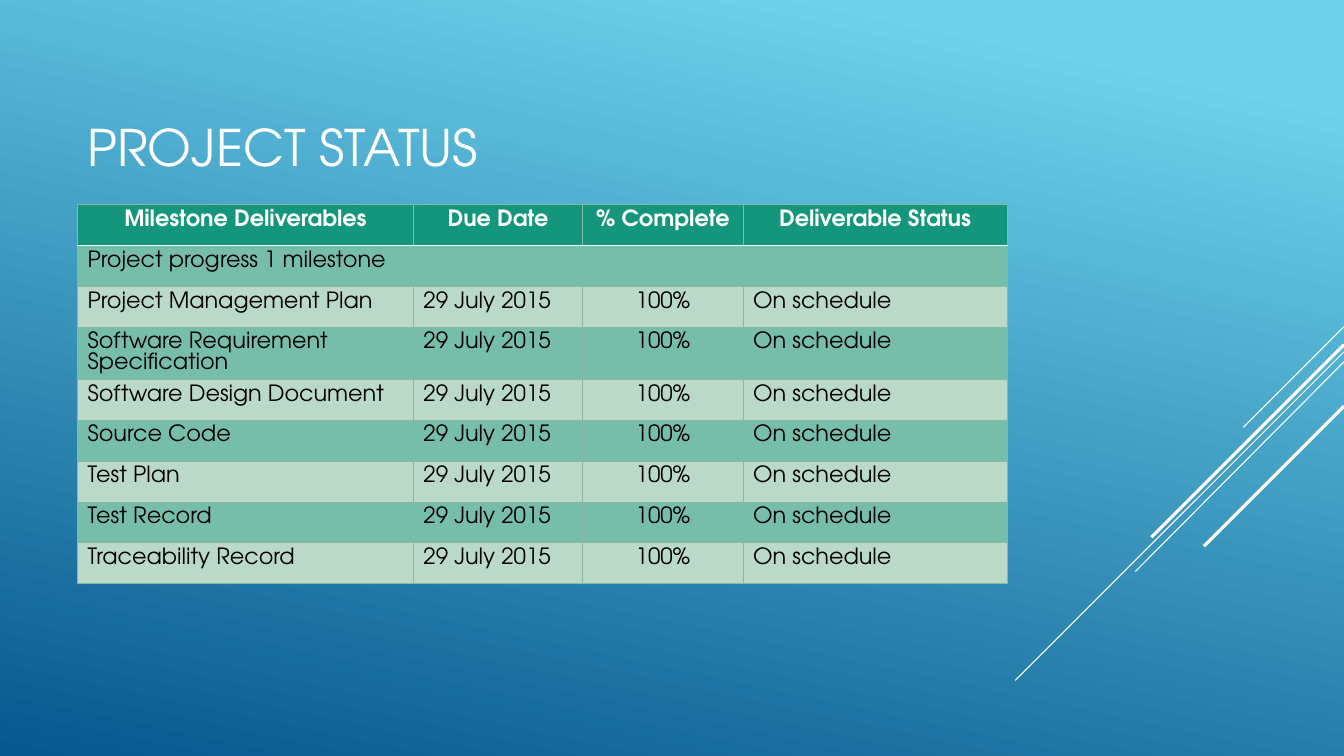
from dataclasses import dataclass

from lxml import etree
from pptx import Presentation
from pptx.dml.color import RGBColor
from pptx.enum.shapes import MSO_CONNECTOR
from pptx.enum.text import MSO_ANCHOR, PP_ALIGN
from pptx.oxml.ns import qn
from pptx.util import Inches, Pt

STRAIGHT = MSO_CONNECTOR.STRAIGHT
MIDDLE = MSO_ANCHOR.MIDDLE
LEFT, CENTER = PP_ALIGN.LEFT, PP_ALIGN.CENTER


@dataclass(frozen=True)
class Theme:
    font: str = "TeX Gyre Adventor"
    title_size: int = 36
    table_size: int = 16
    table_leading: int = 15
    white: str = "FFFFFF"
    black: str = "000000"
    sky: str = "6ED2EB"
    ocean: str = "06588E"
    header: str = "14967C"
    dark_band: str = "77BEAA"
    light_band: str = "BAD9C9"
    border: str = "8AB7A1"


THEME = Theme()

SLIDE_WIDTH, SLIDE_HEIGHT = 13.33, 7.5
# Start height on the right edge, end point, line width
STREAKS = [
    (3.24, 12.33, 4.24, 0.75),
    (3.49, 10.07, 6.75, 0.75),
    (3.59, 11.26, 5.67, 0.75),
    (3.42, 11.42, 5.33, 2.25),
    (4.03, 11.94, 5.42, 2.25),
]
COLUMN_WIDTHS = [3.33, 1.68, 1.59, 2.62]
COLUMN_ALIGNMENTS = [LEFT, LEFT, CENTER, LEFT]
TABLE_HEIGHT = 3.65
HEADINGS = ["Milestone Deliverables", "Due Date", "% Complete", "Deliverable Status"]
MILESTONE = "Project progress 1 milestone"
DELIVERABLES = [
    "Project Management Plan",
    "Software Requirement Specification",
    "Software Design Document",
    "Source Code",
    "Test Plan",
    "Test Record",
    "Traceability Record",
]
STATUS = ["29 July 2015", "100%", "On schedule"]


def rgb(color):
    return RGBColor.from_string(color)


def set_background(slide):
    fill = slide.background.fill
    fill.gradient()
    fill.gradient_angle = 258
    stops = [(0.1, THEME.sky), (1, THEME.ocean)]
    for stop, (position, color) in zip(fill.gradient_stops, stops):
        stop.position = position
        stop.color.rgb = rgb(color)


def add_streak(slide, start_y, end_x, end_y, width):
    line = slide.shapes.add_connector(
        STRAIGHT, Inches(SLIDE_WIDTH), Inches(start_y), Inches(end_x), Inches(end_y))
    line.line.color.rgb = rgb(THEME.white)
    line.line.width = Pt(width)
    etree.SubElement(line._element.spPr, qn("a:effectLst"))


def style_paragraph(p, size, color, bold=False):
    p.font.name = THEME.font
    p.font.size = Pt(size)
    p.font.color.rgb = rgb(color)
    p.font.bold = bold


def add_title(slide, text):
    sp = slide.shapes.add_textbox(Inches(0.77), Inches(0.63), Inches(9.33), Inches(1.65))
    tf = sp.text_frame
    tf.word_wrap = True
    tf.vertical_anchor = MIDDLE
    p = tf.paragraphs[0]
    p.text = text
    style_paragraph(p, THEME.title_size, THEME.white)


def add_border(cell, side, color, width, opacity=100):
    line = etree.SubElement(
        cell._tc.get_or_add_tcPr(), qn(f"a:ln{side}"), w=str(Pt(width)))
    fill = etree.SubElement(line, qn("a:solidFill"))
    value = etree.SubElement(fill, qn("a:srgbClr"), val=color)
    etree.SubElement(value, qn("a:alpha"), val=str(opacity * 1000))


def style_cell(cell, row, alignment):
    is_header = row == 0
    # The white rule under the header is shared by rows 0 and 1
    rule_side = {0: "B", 1: "T"}.get(row)
    for side in "LRTB":
        if side == rule_side:
            add_border(cell, side, THEME.white, 1.25)
        else:
            add_border(cell, side, THEME.border, 0.75, 60)
    band = THEME.dark_band if row % 2 else THEME.light_band
    cell.fill.solid()
    cell.fill.fore_color.rgb = rgb(THEME.header if is_header else band)
    p = cell.text_frame.paragraphs[0]
    p.alignment = CENTER if is_header else alignment
    p.line_spacing = Pt(THEME.table_leading)
    style_paragraph(p, THEME.table_size, THEME.white if is_header else THEME.black, is_header)


def add_status_table(slide):
    rows = [HEADINGS, [MILESTONE, "", "", ""]]
    rows += [[name, *STATUS] for name in DELIVERABLES]
    table = slide.shapes.add_table(
        len(rows), len(HEADINGS), Inches(0.77), Inches(2.03),
        Inches(sum(COLUMN_WIDTHS)), Inches(TABLE_HEIGHT)).table
    for column, width in zip(table.columns, COLUMN_WIDTHS):
        column.width = Inches(width)
    for r, values in enumerate(rows):
        for c, value in enumerate(values):
            cell = table.cell(r, c)
            cell.text = value
            style_cell(cell, r, COLUMN_ALIGNMENTS[c])
    table.cell(1, 0).merge(table.cell(1, len(HEADINGS) - 1))


def main():
    prs = Presentation()
    prs.slide_width = Inches(SLIDE_WIDTH)
    prs.slide_height = Inches(SLIDE_HEIGHT)
    slide = prs.slides.add_slide(prs.slide_layouts[6])
    set_background(slide)
    for streak in STREAKS:
        add_streak(slide, *streak)
    add_title(slide, "PROJECT STATUS")
    add_status_table(slide)
    prs.save("out.pptx")


if __name__ == "__main__":
    main()
